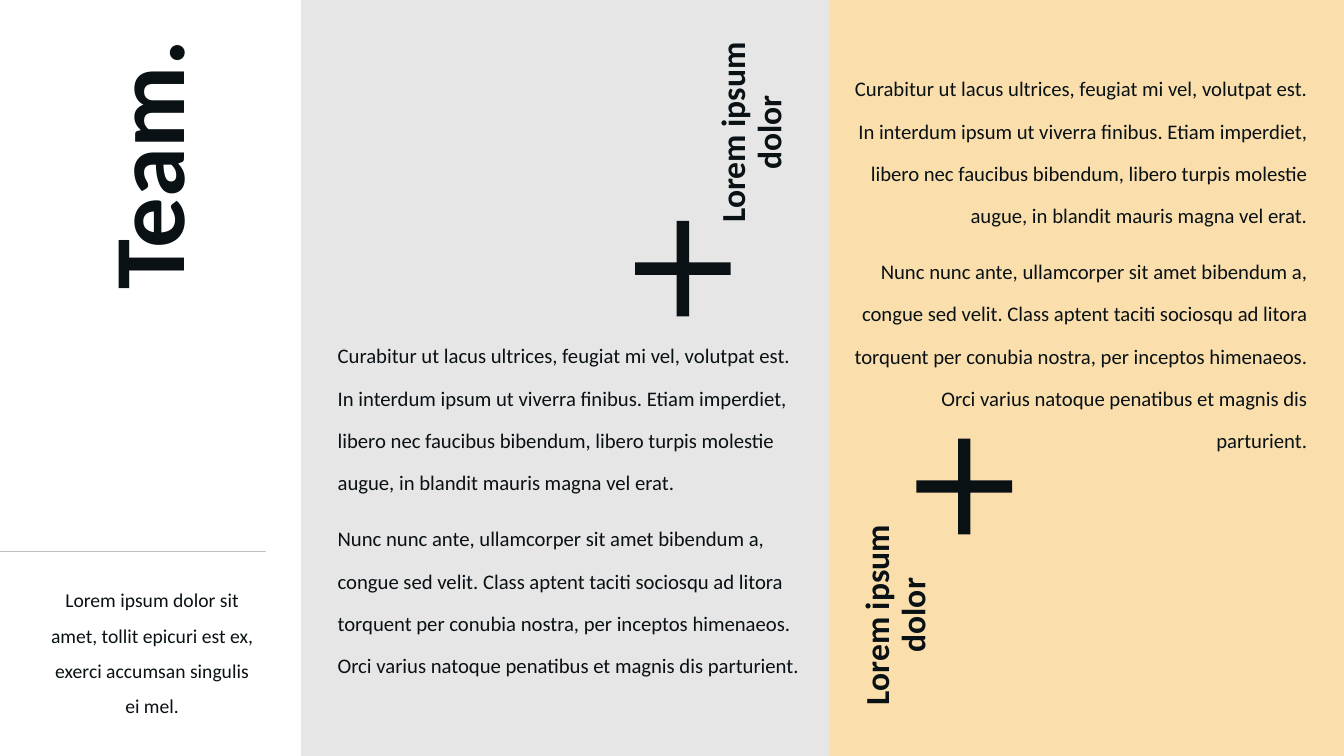
"""Build the Team slide: a title column and two coloured text panels."""
from lxml.etree import SubElement
from pptx import Presentation
from pptx.dml.color import RGBColor
from pptx.enum.shapes import MSO_CONNECTOR, MSO_SHAPE
from pptx.enum.text import MSO_ANCHOR as Anchor, PP_ALIGN as Align
from pptx.oxml.ns import qn
from pptx.util import Cm, Pt

COLORS = {"ink": "091115", "grey": "E7E6E6", "sand": "FADFAC", "rule": "BFBFBF"}
FONT = "Calibri"
SLIDE_SIZE = (33.87, 19.05)

TITLE = "Team."
INTRO = "Lorem ipsum dolor sit amet, tollit epicuri est ex, exerci accumsan singulis ei mel."
CAPTION = "Lorem ipsum dolor"
STORY = [
    "Curabitur ut lacus ultrices, feugiat mi vel, volutpat est. In interdum ipsum "
    "ut viverra finibus. Etiam imperdiet, libero nec faucibus bibendum, libero "
    "turpis molestie augue, in blandit mauris magna vel erat.",
    "Nunc nunc ante, ullamcorper sit amet bibendum a, congue sed velit. Class aptent "
    "taciti sociosqu ad litora torquent per conubia nostra, per inceptos himenaeos. "
    "Orci varius natoque penatibus et magnis dis parturient.",
]

WIDE_INSETS = {"margin_left": Cm(0.25), "margin_right": Cm(0.25),
               "margin_top": Cm(0.13), "margin_bottom": Cm(0.13)}
TIGHT_INSETS = {"margin_left": Cm(0.13), "margin_right": Cm(0),
                "margin_top": Cm(0.13), "margin_bottom": Cm(0.13)}
STYLES = {
    "title": {
        "frame": {**WIDE_INSETS, "vertical_anchor": Anchor.MIDDLE},
        "paragraph": {"alignment": Align.RIGHT, "line_spacing": 0.9},
        "font": {"size": Pt(72), "bold": True},
        "rotation": 270},
    "intro": {
        "frame": {**WIDE_INSETS, "vertical_anchor": Anchor.TOP},
        "paragraph": {"alignment": Align.CENTER, "line_spacing": 1.5, "space_before": Pt(10)},
        "font": {"size": Pt(14)},
        "rotation": 0},
    "caption": {
        "frame": {**TIGHT_INSETS, "vertical_anchor": Anchor.MIDDLE},
        "paragraph": {"alignment": Align.CENTER, "line_spacing": 0.9, "space_before": Pt(10)},
        "font": {"size": Pt(24), "bold": True},
        "rotation": 270},
    "story": {
        "frame": TIGHT_INSETS,
        "paragraph": {"line_spacing": 1.7, "space_before": Pt(10)},
        "font": {"size": Pt(14.8)},
        "rotation": 0},
}

CAPTION_SIZE = (5.46, 2.69)
PLUS_SIZE = (3.28, 3.28)
GREY_LEFT, SAND_LEFT = 7.59, 20.9
RULE_Y, RULE_END = 13.89, 6.71
PANELS = [
    {"color": "grey", "left": GREY_LEFT, "caption": (16.23, 2.06), "plus": (15.57, 5.13),
     "story": (8.38, 8.08, 11.91, 10.26), "align": Align.LEFT, "anchor": Anchor.TOP},
    {"color": "sand", "left": SAND_LEFT, "caption": (19.86, 14.22), "plus": (22.66, 10.62),
     "story": (21.23, 0.74, 11.71, 10.8), "align": Align.RIGHT, "anchor": Anchor.BOTTOM},
]


def rgb(name):
    return RGBColor.from_string(COLORS[name])


def apply(target, values):
    for name, value in values.items():
        setattr(target, name, value)


def add_filled(slide, kind, box, color):
    shape = slide.shapes.add_shape(kind, *map(Cm, box))
    shape.shadow.inherit = False
    shape.fill.solid()
    shape.fill.fore_color.rgb = rgb(color)
    shape.line.fill.background()
    return shape


def add_text(slide, style_name, box, texts, align=None, anchor=None):
    style = STYLES[style_name]
    holder = slide.shapes.add_textbox(*map(Cm, box))
    holder.rotation = style["rotation"]
    frame = holder.text_frame
    frame.word_wrap = True
    apply(frame, style["frame"])
    if anchor is not None:
        frame.vertical_anchor = anchor
    for index, text in enumerate(texts):
        paragraph = frame.add_paragraph() if index else frame.paragraphs[0]
        apply(paragraph, style["paragraph"])
        if align is not None:
            paragraph.alignment = align
        run = paragraph.add_run()
        run.text = text
        apply(run.font, {"name": FONT, **style["font"]})
        run.font.color.rgb = rgb("ink")


def add_rule(slide):
    rule = slide.shapes.add_connector(
        MSO_CONNECTOR.STRAIGHT, Cm(0), Cm(RULE_Y), Cm(RULE_END), Cm(RULE_Y))
    rule.line.color.rgb = rgb("rule")
    rule.line.width = Pt(1)
    SubElement(rule._element.spPr, qn("a:effectLst"))


def main():
    deck = Presentation()
    width, height = SLIDE_SIZE
    deck.slide_width, deck.slide_height = Cm(width), Cm(height)
    slide = deck.slides.add_slide(deck.slide_layouts[6])

    for panel in PANELS:
        left = panel["left"]
        add_filled(slide, MSO_SHAPE.RECTANGLE, (left, 0, width - left, height), panel["color"])
    add_rule(slide)
    add_text(slide, "intro", (0.99, 14.4, 5.69, 4.14), [INTRO])
    add_text(slide, "title", (-2.49, 4.22, 12.65, 5.69), [TITLE])

    for panel in PANELS:
        add_text(slide, "story", panel["story"], STORY, panel["align"], panel["anchor"])
        add_text(slide, "caption", panel["caption"] + CAPTION_SIZE, [CAPTION])
        plus = add_filled(slide, MSO_SHAPE.MATH_PLUS, panel["plus"] + PLUS_SIZE, "ink")
        plus.adjustments[0] = 0.095

    deck.save("out.pptx")


if __name__ == "__main__":
    main()
